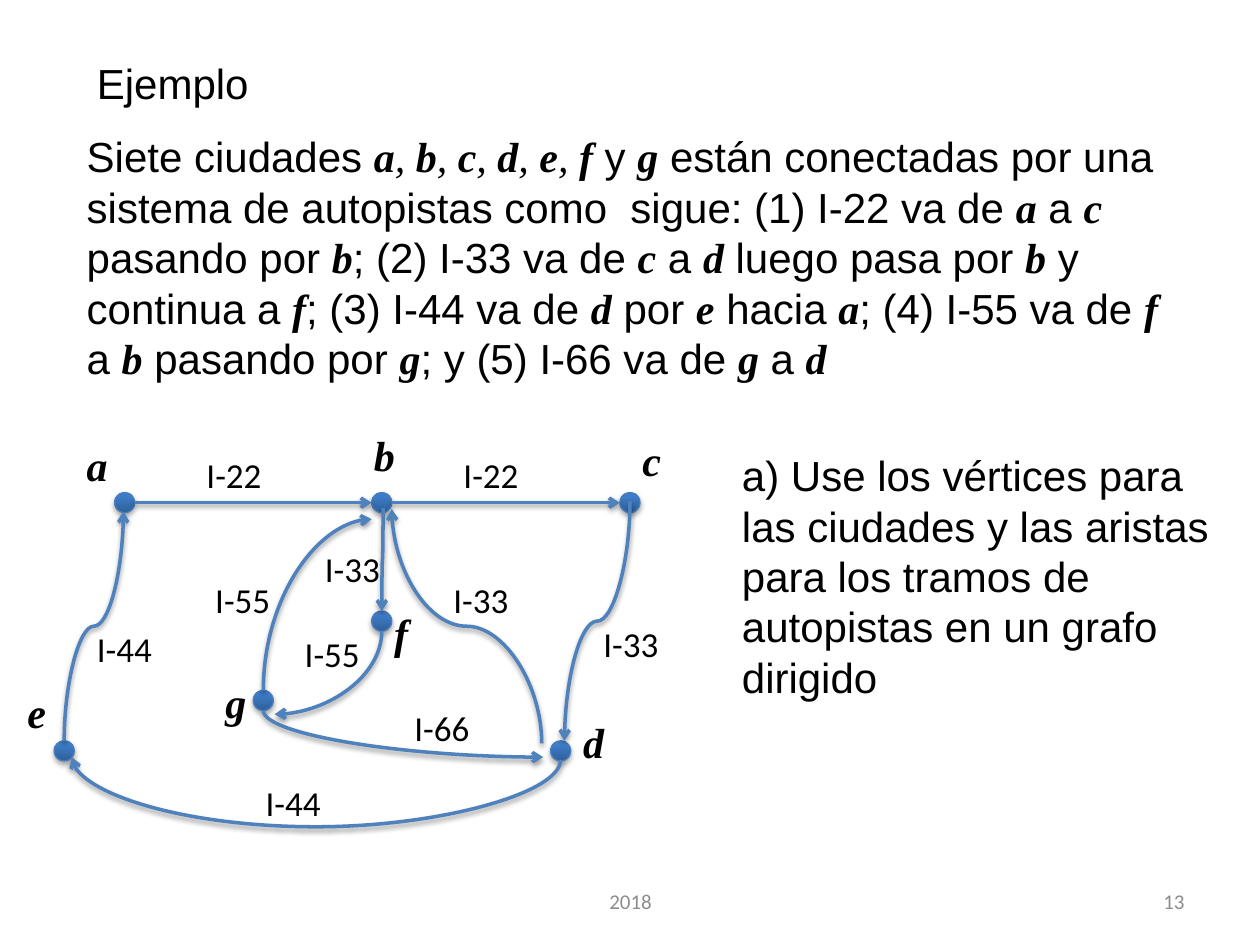
from collections import namedtuple

from lxml import etree
from pptx import Presentation
from pptx.dml.color import RGBColor
from pptx.enum.shapes import MSO_CONNECTOR as CONN, MSO_SHAPE
from pptx.enum.text import MSO_ANCHOR as ANCHOR, PP_ALIGN as ALIGN
from pptx.oxml import parse_xml
from pptx.oxml.ns import nsdecls, qn
from pptx.util import Inches, Pt

BLACK = RGBColor(0x00, 0x00, 0x00)
GRAY = RGBColor(0x8C, 0x8C, 0x8C)
EDGE_BLUE = RGBColor(0x4F, 0x81, 0xBD)
RIM_BLUE = RGBColor(0x4B, 0x7E, 0xBC)
NODE_STOPS = [
    (0, RGBColor(0x2F, 0x5F, 0x99)),
    (80, RGBColor(0x3D, 0x7C, 0xC7)),
    (100, RGBColor(0x3A, 0x7C, 0xCB)),
]

BODY = {"name": "Arial", "size": Pt(24)}
VERTEX = {"name": "Times New Roman", "size": Pt(24), "bold": True, "italic": True}
COMMA = {**VERTEX, "bold": False}
ROAD = {"name": "Calibri", "size": Pt(20)}
FOOTER = {"name": "Calibri", "size": Pt(12)}

Box = namedtuple("Box", "left top width height")

# Vertex names stand between asterisks.
PROBLEM = (
    "Siete ciudades *a*, *b*, *c*, *d*, *e*, *f* y *g* están conectadas por una "
    "sistema de autopistas como  sigue: (1) I-22 va de *a* a *c* pasando por *b*; "
    "(2) I-33 va de *c* a *d* luego pasa por *b* y continua a *f*; (3) I-44 va de "
    "*d* por *e* hacia *a*; (4) I-55 va de *f* a *b* pasando por *g*; y (5) I-66 "
    "va de *g* a *d*"
)
TASK = (
    "a) Use los vértices para las ciudades y las aristas para los tramos de "
    "autopistas en un grafo dirigido"
)

NODE_SIZE = 0.16
R = NODE_SIZE / 2
# City: centre, label corner (inches from the graph's corner)
CITIES = {
    "a": ((0.99, 0.99), (0.59, 0.44)),
    "b": ((3.03, 0.99), (2.87, 0.36)),
    "c": ((5.00, 0.99), (5.00, 0.40)),
    "d": ((4.45, 2.96), (4.53, 2.64)),
    "e": ((0.51, 2.96), (0.12, 2.40)),
    "f": ((3.03, 1.93), (3.03, 1.77)),
    "g": ((2.09, 2.56), (1.69, 2.32)),
}
STRAIGHT = [("a", "b"), ("b", "c")]
# Start city, offset, end city, offset, preset, depth of the bend below the start
CURVES = [
    ("e", (0, -R), "a", (-0.01, 0.07), "curvedConnector3", None),
    ("g", (0, -R), "b", (-R, 0.13), "curvedConnector2", None),
    ("b", (0.01, 0.04), "f", (0, -R), "curvedConnector3", None),
    ("f", (0, R), "g", (0.09, 0.11), "curvedConnector2", None),
    ("g", (0, R), "d", (-0.14, 0.05), "curvedConnector2", None),
    ("d", (0, 0.07), "e", (0.06, 0.05), "curvedConnector3", 0.53),
    ("c", (0, -0.01), "d", (0.03, -R), "curvedConnector3", None),
    ("d", (-0.15, -0.06), "b", (R, 0.05), "curvedConnector3", None),
]
ROADS = [
    ("I-22", 1.54, 0.55), ("I-22", 3.58, 0.55),
    ("I-33", 4.69, 1.89), ("I-33", 3.50, 1.54), ("I-33", 2.48, 1.30),
    ("I-55", 2.32, 1.97), ("I-55", 1.61, 1.54), ("I-66", 3.19, 2.56),
    ("I-44", 0.67, 1.93), ("I-44", 2.01, 3.15),
]


def add_text(slide, box, runs, color=BLACK, align=ALIGN.LEFT, anchor=ANCHOR.TOP):
    """Add a one-paragraph text box; runs is a list of (text, font format)."""
    tf = slide.shapes.add_textbox(*map(Inches, box)).text_frame
    tf.word_wrap = True
    tf.vertical_anchor = anchor
    p = tf.paragraphs[0]
    p.alignment = align
    for text, fmt in runs:
        r = p.add_run()
        r.text = text
        for key, value in fmt.items():
            setattr(r.font, key, value)
        r.font.color.rgb = color


def marked_runs(text):
    """Split text at asterisks into body, vertex and comma runs."""
    for i, part in enumerate(text.split("*")):
        if part:
            yield part, VERTEX if i % 2 else COMMA if part == ", " else BODY


def add_shadow(sp, distance, opacity):
    spPr = sp._element.spPr
    for old in spPr.findall(qn("a:effectLst")):
        spPr.remove(old)
    spPr.append(parse_xml(
        f'<a:effectLst {nsdecls("a")}><a:outerShdw blurRad="{Pt(3.1)}" '
        f'dist="{Pt(distance)}" dir="5400000" rotWithShape="0">'
        f'<a:srgbClr val="000000"><a:alpha val="{opacity * 1000}"/></a:srgbClr>'
        "</a:outerShdw></a:effectLst>"))


def add_node(slide, x, y):
    sp = slide.shapes.add_shape(
        MSO_SHAPE.OVAL, *map(Inches, (x - R, y - R, NODE_SIZE, NODE_SIZE)))
    sp.shadow.inherit = False
    sp.line.color.rgb = RIM_BLUE
    sp.line.width = Pt(0.75)
    stops = "".join(
        f'<a:gs pos="{pos * 1000}"><a:srgbClr val="{color}"/></a:gs>'
        for pos, color in NODE_STOPS)
    sp._element.spPr.find(qn("a:prstGeom")).addnext(parse_xml(
        f'<a:gradFill {nsdecls("a")} rotWithShape="1"><a:gsLst>{stops}</a:gsLst>'
        '<a:lin ang="16200000" scaled="0"/></a:gradFill>'))
    add_shadow(sp, 1.8, 35)


def add_arrow(slide, kind, x1, y1, x2, y2):
    c = slide.shapes.add_connector(kind, *map(Inches, (x1, y1, x2, y2)))
    c.line.color.rgb = EDGE_BLUE
    c.line.width = Pt(2)
    ln = c._element.spPr.find(qn("a:ln"))
    etree.SubElement(ln, qn("a:tailEnd"), type="arrow")
    add_shadow(c, 1.6, 38)
    return c


def add_curve(slide, x1, y1, x2, y2, preset, depth):
    """Add a curved arrow that leaves its start vertically.

    The preset leaves horizontally, so it is laid out a quarter turn back
    around its centre and then rotated.
    """
    cx, cy = (x1 + x2) / 2, (y1 + y2) / 2
    half_w, half_h = (y2 - y1) / 2, (x1 - x2) / 2
    c = add_arrow(slide, CONN.CURVE,
                  cx - half_w, cy - half_h, cx + half_w, cy + half_h)
    spPr = c._element.spPr
    spPr.find(qn("a:xfrm")).set("rot", "5400000")
    geom = spPr.find(qn("a:prstGeom"))
    geom.set("prst", preset)
    if depth is not None:
        guides = geom.find(qn("a:avLst"))
        if guides is None:
            guides = etree.SubElement(geom, qn("a:avLst"))
        bend = round(depth / (y2 - y1) * 100000)
        etree.SubElement(guides, qn("a:gd"), name="adj1", fmla=f"val {bend}")


def add_graph(slide, box):
    centres = {name: (box.left + x, box.top + y)
               for name, ((x, y), _) in CITIES.items()}
    for x, y in centres.values():
        add_node(slide, x, y)
    for start, end in STRAIGHT:
        (x1, y1), (x2, y2) = centres[start], centres[end]
        add_arrow(slide, CONN.STRAIGHT, x1 + R, y1, x2 - R, y2)
    for start, (dx1, dy1), end, (dx2, dy2), preset, depth in CURVES:
        (x1, y1), (x2, y2) = centres[start], centres[end]
        add_curve(slide, x1 + dx1, y1 + dy1, x2 + dx2, y2 + dy2, preset, depth)
    for road, x, y in ROADS:
        add_text(slide, Box(box.left + x, box.top + y, 0.71, 0.44), [(road, ROAD)])
    for name, (_, (x, y)) in CITIES.items():
        add_text(slide, Box(box.left + x, box.top + y, 0.47, 0.5), [(name, VERTEX)])


def add_footer(slide, box):
    for text, x, width, align in [("2018", 0, 3.17, ALIGN.CENTER),
                                  ("13", box.width - 2.33, 2.33, ALIGN.RIGHT)]:
        add_text(slide, Box(box.left + x, box.top, width, box.height),
                 [(text, FOOTER)], GRAY, align, ANCHOR.MIDDLE)


def main():
    prs = Presentation()
    prs.slide_width, prs.slide_height = Inches(10), Inches(7.5)
    slide = prs.slides.add_slide(prs.slide_layouts[6])
    add_text(slide, Box(0.67, 0.41, 2.52, 0.5), [("Ejemplo", BODY)])
    add_text(slide, Box(0.59, 0.99, 8.9, 2.12), marked_runs(PROBLEM))
    add_graph(slide, Box(0, 3, 5.5, 3.6))
    add_text(slide, Box(5.79, 3.52, 4.02, 2.12), [(TASK, BODY)])
    add_footer(slide, Box(3.42, 6.95, 6.08, 0.4))
    prs.save("out.pptx")


if __name__ == "__main__":
    main()
